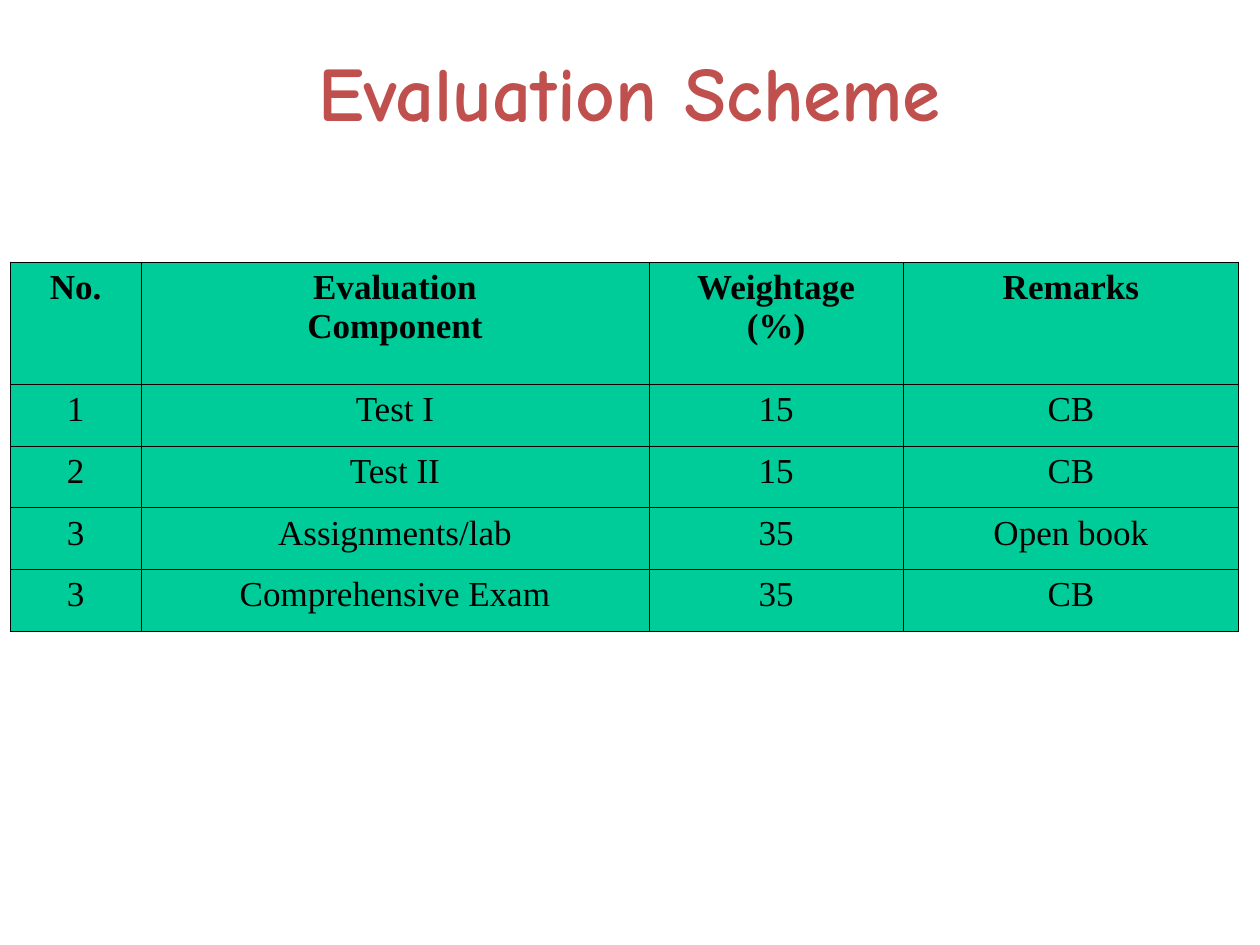
from lxml import etree
from pptx import Presentation
from pptx import util as u
from pptx.dml import color
from pptx.enum import text
from pptx.oxml import ns

TITLE = "Evaluation Scheme"
ROWS = [
    ("No.", "Evaluation\nComponent", "Weightage\n(%)", "Remarks"),
    ("1", "Test I", "15", "CB"),
    ("2", "Test II", "15", "CB"),
    ("3", "Assignments/lab", "35", "Open book"),
    ("3", "Comprehensive Exam", "35", "CB"),
]
COLS = (1.04, 4.03, 2.02, 2.66)
HEAD, BODY = 0.97, 0.49
HUES = {"title": "C0504D", "cell": "00CC99", "ink": "000000"}


def hue(name):
    return color.RGBColor.from_string(HUES[name])


def write(frame, words, face, size, ink, bold):
    for i, line in enumerate(words.split("\n")):
        para = frame.add_paragraph() if i else frame.paragraphs[0]
        para.alignment = text.PP_ALIGN.CENTER
        run = para.add_run()
        run.text = line
        font = run.font
        font.name, font.size, font.bold = face, u.Pt(size), bold
        font.color.rgb = hue(ink)


def edge(cell):
    props = cell._tc.get_or_add_tcPr()
    for i, side in enumerate(("lnL", "lnR", "lnT", "lnB")):
        line = etree.Element(ns.qn("a:" + side), w=str(u.Pt(0.45)))
        fill = etree.SubElement(line, ns.qn("a:solidFill"))
        etree.SubElement(fill, ns.qn("a:srgbClr"), val=HUES["ink"])
        props.insert(i, line)


def main():
    deck = Presentation()
    deck.slide_width, deck.slide_height = u.Inches(10), u.Inches(7.5)
    slide = deck.slides.add_slide(deck.slide_layouts[5])

    title = slide.shapes.title
    title.left, title.top = u.Inches(0.5), u.Inches(0.3)
    title.width, title.height = u.Inches(9), u.Inches(1.25)
    title.text_frame.vertical_anchor = text.MSO_ANCHOR.TOP
    write(title.text_frame, TITLE, "Comic Neue", 44, "title", True)

    high = HEAD + BODY * (len(ROWS) - 1)
    grid = slide.shapes.add_table(
        len(ROWS), len(COLS), u.Inches(0.08), u.Inches(2.08),
        u.Inches(sum(COLS)), u.Inches(high)).table
    for col, wide in zip(grid.columns, COLS):
        col.width = u.Inches(wide)
    for r, row in enumerate(ROWS):
        grid.rows[r].height = u.Inches(BODY if r else HEAD)
        for c, words in enumerate(row):
            cell = grid.cell(r, c)
            cell.margin_left = cell.margin_right = u.Inches(0.08)
            cell.fill.solid()
            cell.fill.fore_color.rgb = hue("cell")
            write(cell.text_frame, words, "Times New Roman", 20, "ink", r == 0)
            edge(cell)

    deck.save("out.pptx")


if __name__ == "__main__":
    main()
